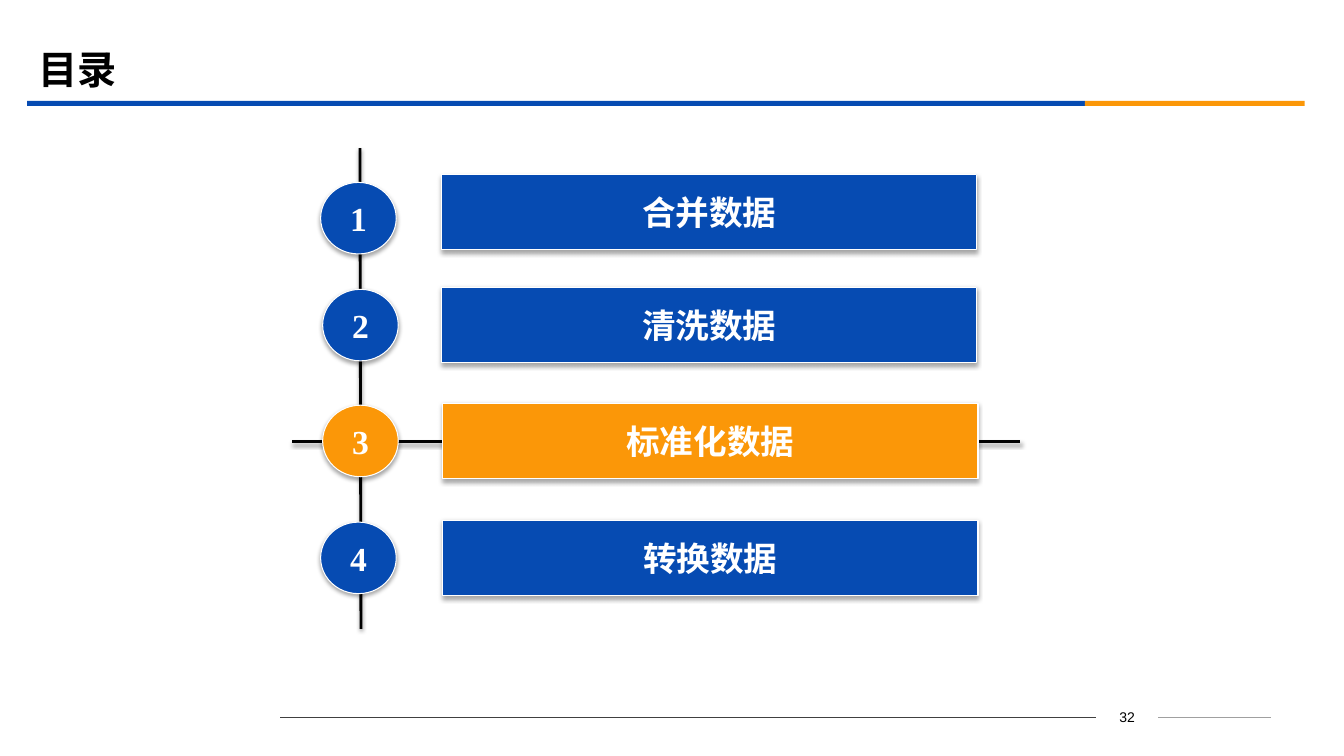
from lxml import etree
from pptx import Presentation
from pptx.dml.color import RGBColor
from pptx.enum.shapes import MSO_CONNECTOR, MSO_SHAPE
from pptx.enum.text import MSO_ANCHOR, PP_ALIGN
from pptx.oxml.ns import qn
from pptx.util import Inches, Pt

COLORS = {"blue": "064BB2", "orange": "FB9708", "white": "FFFFFF",
          "black": "000000", "dark": "404040", "grey": "A0A0A0"}
TITLE = "目录"
PAGE_NUMBER = "32"
# label, fill, bar left and top, circle left and top
CHAPTERS = [
    ("合并数据", "blue", (4.38, 1.73), (3.18, 1.81)),
    ("清洗数据", "blue", (4.38, 2.85), (3.2, 2.87)),
    ("标准化数据", "orange", (4.39, 4), (3.2, 4.02)),
    ("转换数据", "blue", (4.39, 5.16), (3.18, 5.18)),
]
BAR_SIZE = (5.31, 0.75)
CIRCLE_SIZE = (0.75, 0.71)
RULE_LEFT, RULE_SPLIT, RULE_RIGHT = 0.27, 10.76, 12.94
RULE_TOP, RULE_HEIGHT = 1, 0.05
FOOTER_Y = 7.12
NUMBER_LEFT, NUMBER_RIGHT = 10.87, 11.49
SERIF = "Times New Roman"


def color(name):
    return RGBColor.from_string(COLORS[name])


def place(box, left, top, width, height):
    box.left, box.top = Inches(left), Inches(top)
    box.width, box.height = Inches(width), Inches(height)


def write(box, text, size=24, font=SERIF, ink="white", bold=True,
          align=PP_ALIGN.CENTER, wrap=False):
    frame = box.text_frame
    frame.word_wrap = wrap
    frame.vertical_anchor = MSO_ANCHOR.MIDDLE
    para = frame.paragraphs[0]
    para.alignment = align
    span = para.add_run()
    span.text = text
    span.font.size, span.font.name, span.font.bold = Pt(size), font, bold
    span.font.color.rgb = color(ink)


def set_effects(item, distance=None, alpha=None):
    """Give an item a downward shadow, or no shadow when no distance is set."""
    properties = item._element.spPr
    for old in properties.findall(qn("a:effectLst")):
        properties.remove(old)
    effects = etree.SubElement(properties, qn("a:effectLst"))
    if distance:
        shadow = etree.SubElement(effects, qn("a:outerShdw"), blurRad=str(Pt(3.1)),
                                  dist=str(Pt(distance)), dir="5400000", rotWithShape="0")
        shade = etree.SubElement(shadow, qn("a:srgbClr"), val=COLORS["black"])
        etree.SubElement(shade, qn("a:alpha"), val=str(alpha * 1000))


def add_box(page, kind, position, size, fill, text=None):
    box = page.shapes.add_shape(kind, *map(Inches, (*position, *size)))
    box.shadow.inherit = False
    box.fill.solid()
    box.fill.fore_color.rgb = color(fill)
    if text is None:
        box.line.fill.background()
    else:
        box.line.color.rgb = color("white")
        box.line.width = Pt(0.75)
        set_effects(box, distance=1.8, alpha=35)
        write(box, text)


def add_line(page, start, end, ink, width, **shadow):
    line = page.shapes.add_connector(MSO_CONNECTOR.STRAIGHT, *map(Inches, (*start, *end)))
    line.line.color.rgb = color(ink)
    line.line.width = Pt(width)
    set_effects(line, **shadow)


def add_frame(page):
    """Draw the title, the two-colour rule and the footer."""
    title = page.shapes.title
    place(title, 0.28, 0.39, 12, 0.58)
    write(title, TITLE, size=28, ink="black", align=PP_ALIGN.LEFT, wrap=True)

    for left, right, fill in ((RULE_LEFT, RULE_SPLIT, "blue"),
                              (RULE_SPLIT, RULE_RIGHT, "orange")):
        add_box(page, MSO_SHAPE.RECTANGLE, (left, RULE_TOP),
                (right - left, RULE_HEIGHT), fill)

    for left, right, ink in ((2.78, NUMBER_LEFT, "dark"), (NUMBER_RIGHT, 12.61, "grey")):
        add_line(page, (left, FOOTER_Y), (right, FOOTER_Y), ink, 0.75)
    number = page.shapes.add_textbox(0, 0, 0, 0)
    place(number, NUMBER_LEFT, 6.99, NUMBER_RIGHT - NUMBER_LEFT, 0.25)
    write(number, PAGE_NUMBER, size=10, font="Arial", ink="black", bold=False, wrap=True)


def add_contents(page):
    """Draw the crossing lines, then a numbered circle and a bar per chapter."""
    for start, end in (((3.57, 1.47), (3.58, 6.24)), ((2.9, 4.38), (10.12, 4.38))):
        add_line(page, start, end, "black", 2, distance=1.6, alpha=38)
    for number, (label, fill, bar, circle) in enumerate(CHAPTERS, 1):
        add_box(page, MSO_SHAPE.ACTION_BUTTON_CUSTOM, bar, BAR_SIZE, fill, label)
        add_box(page, MSO_SHAPE.OVAL, circle, CIRCLE_SIZE, fill, str(number))


def main():
    deck = Presentation()
    deck.slide_width, deck.slide_height = Inches(13.33), Inches(7.5)
    page = deck.slides.add_slide(deck.slide_layouts[5])
    add_frame(page)
    add_contents(page)
    deck.save("out.pptx")


if __name__ == "__main__":
    main()
